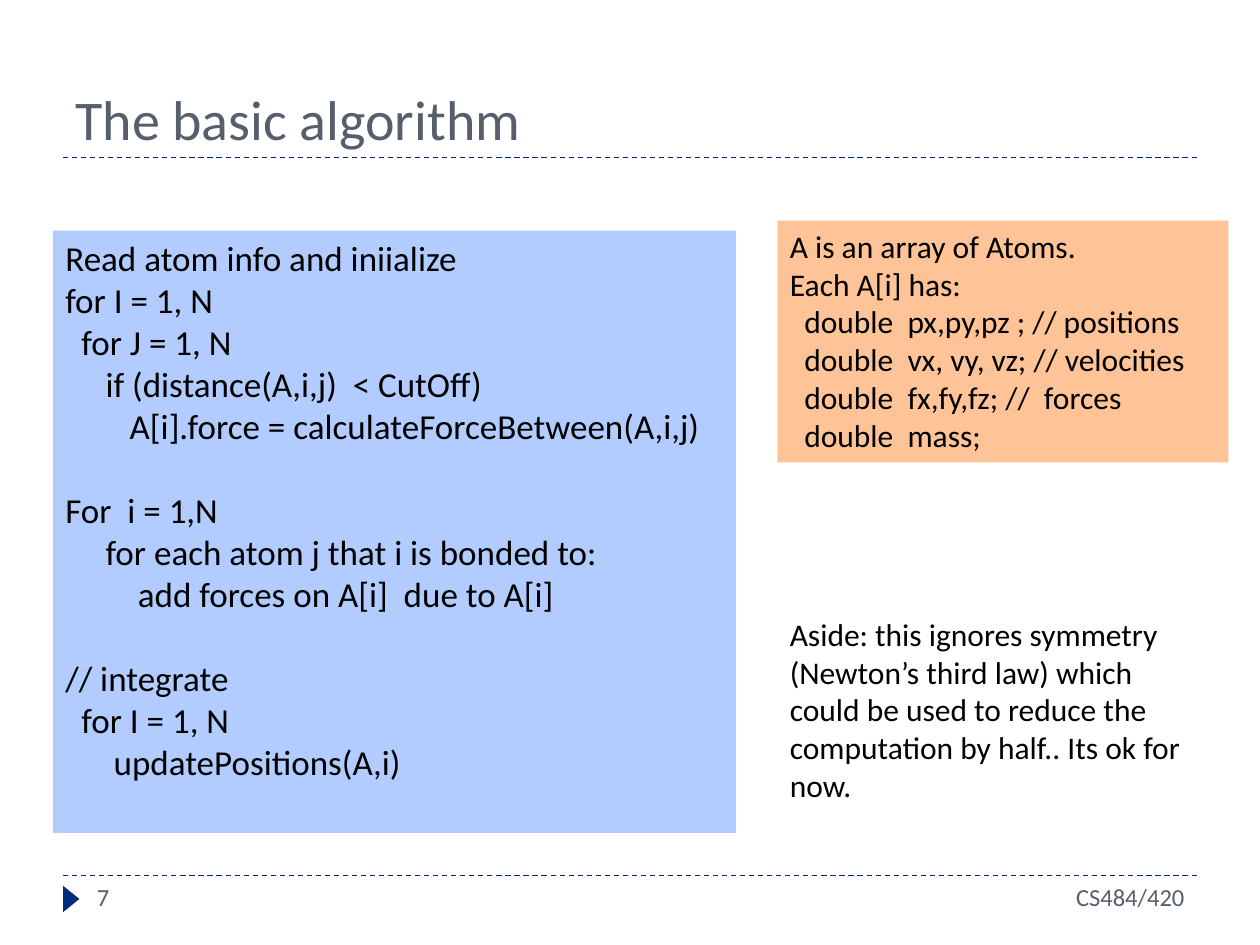
from pptx import Presentation
from pptx.dml.color import RGBColor
from pptx.enum.dml import MSO_LINE_DASH_STYLE as Dash
from pptx.enum.shapes import MSO_CONNECTOR as Connector, MSO_SHAPE as Shape
from pptx.enum.text import MSO_ANCHOR as Anchor, PP_ALIGN as Align
from pptx.oxml.ns import qn
from pptx.util import Inches, Pt
from lxml.etree import SubElement

NAVY, GREY, BLACK = "002A7E", "575F6D", "000000"
BLUE, ORANGE = "B2CCFF", "FEC396"

ALGORITHM = [
    [
        (0, "Read atom info and iniialize"),
        (0, "for I = 1, N"),
        (2, "for J = 1, N"),
        (5, "if (distance(A,i,j)  < CutOff)"),
        (8, "A[i].force = calculateForceBetween(A,i,j)"),
    ],
    [
        (0, "For  i = 1,N"),
        (5, "for each atom j that i is bonded to:"),
        (9, "add forces on A[i]  due to A[i]"),
    ],
    [
        (0, "// integrate"),
        (2, "for I = 1, N"),
        (6, "updatePositions(A,i)"),
    ],
]
ATOM = [[
    (0, "A is an array of Atoms."),
    (0, "Each A[i] has:"),
    (2, "double  px,py,pz ; // positions"),
    (2, "double  vx, vy, vz; // velocities"),
    (2, "double  fx,fy,fz; //  forces"),
    (2, "double  mass;"),
]]
ASIDE = ("Aside: this ignores symmetry (Newton’s third law) which could be used "
         "to reduce the computation by half.. Its ok for now.")


def color(value):
    return RGBColor.from_string(value)


class SlideBuilder:
    """Holds the style and the current slide, and adds each kind of element."""

    font = "Calibri"
    indent_step = 0.23
    line_spacing = 1.2

    def __init__(self, slide):
        self.slide = slide

    def rule(self, y):
        line = self.slide.shapes.add_connector(
            Connector.STRAIGHT, Inches(0.5), Inches(y), Inches(9.5), Inches(y))
        line.line.color.rgb = color(NAVY)
        for name, value in {"width": Pt(0.75), "dash_style": Dash.DASH}.items():
            setattr(line.line, name, value)
        SubElement(line._element.spPr, qn("a:effectLst"))

    def panel(self, kind, box, fill, rotation=0):
        shape = self.slide.shapes.add_shape(kind, *map(Inches, box))
        shape.shadow.inherit = False
        shape.fill.solid()
        shape.fill.fore_color.rgb = color(fill)
        shape.line.fill.background()
        shape.rotation = rotation
        return shape

    def add_text(self, shape, blocks, size, ink=BLACK, align=Align.LEFT, anchor=Anchor.TOP):
        frame = shape.text_frame
        for name, value in {"word_wrap": True, "vertical_anchor": anchor}.items():
            setattr(frame, name, value)
        paragraph = frame.paragraphs[0]
        for block_index, block in enumerate(blocks):
            for line_index, (level, text) in enumerate(block):
                if block_index or line_index:
                    paragraph = frame.add_paragraph()
                if block_index and not line_index:
                    paragraph.space_before = Pt(size * self.line_spacing)
                paragraph.alignment = align
                margin = Pt(level * size * self.indent_step)
                paragraph._p.get_or_add_pPr().set("marL", str(margin))
                run = paragraph.add_run()
                run.text = text
                for name, value in {"name": self.font, "size": Pt(size)}.items():
                    setattr(run.font, name, value)
                run.font.color.rgb = color(ink)

    def label(self, text, box, size, **style):
        shape = self.slide.shapes.add_textbox(*map(Inches, box))
        self.add_text(shape, [[(0, text)]], size, **style)

    def code(self, blocks, box, fill, size):
        self.add_text(self.panel(Shape.RECTANGLE, box, fill), blocks, size)


def main():
    presentation = Presentation()
    presentation.slide_width, presentation.slide_height = Inches(10), Inches(7.5)
    builder = SlideBuilder(presentation.slides.add_slide(presentation.slide_layouts[6]))
    for y in (6.95, 1.25):
        builder.rule(y)
    builder.panel(Shape.ISOSCELES_TRIANGLE, (0.46, 7.07, 0.21, 0.13), NAVY, rotation=90)
    builder.label("The basic algorithm", (0.5, 0.25, 9, 1), 32, ink=GREY, anchor=Anchor.BOTTOM)
    builder.label("CS484/420", (7, 6.95, 2.5, 0.4), 14, ink=GREY, align=Align.RIGHT)
    builder.code(ALGORITHM, (0.42, 1.83, 5.42, 4.78), BLUE, 20)
    builder.code(ATOM, (6.17, 1.75, 3.58, 1.92), ORANGE, 18)
    builder.label(ASIDE, (6.17, 4.83, 3.33, 1.62), 18)
    builder.label("7", (0.67, 6.95, 2.17, 0.4), 14, ink=GREY)
    presentation.save("out.pptx")


if __name__ == "__main__":
    main()
